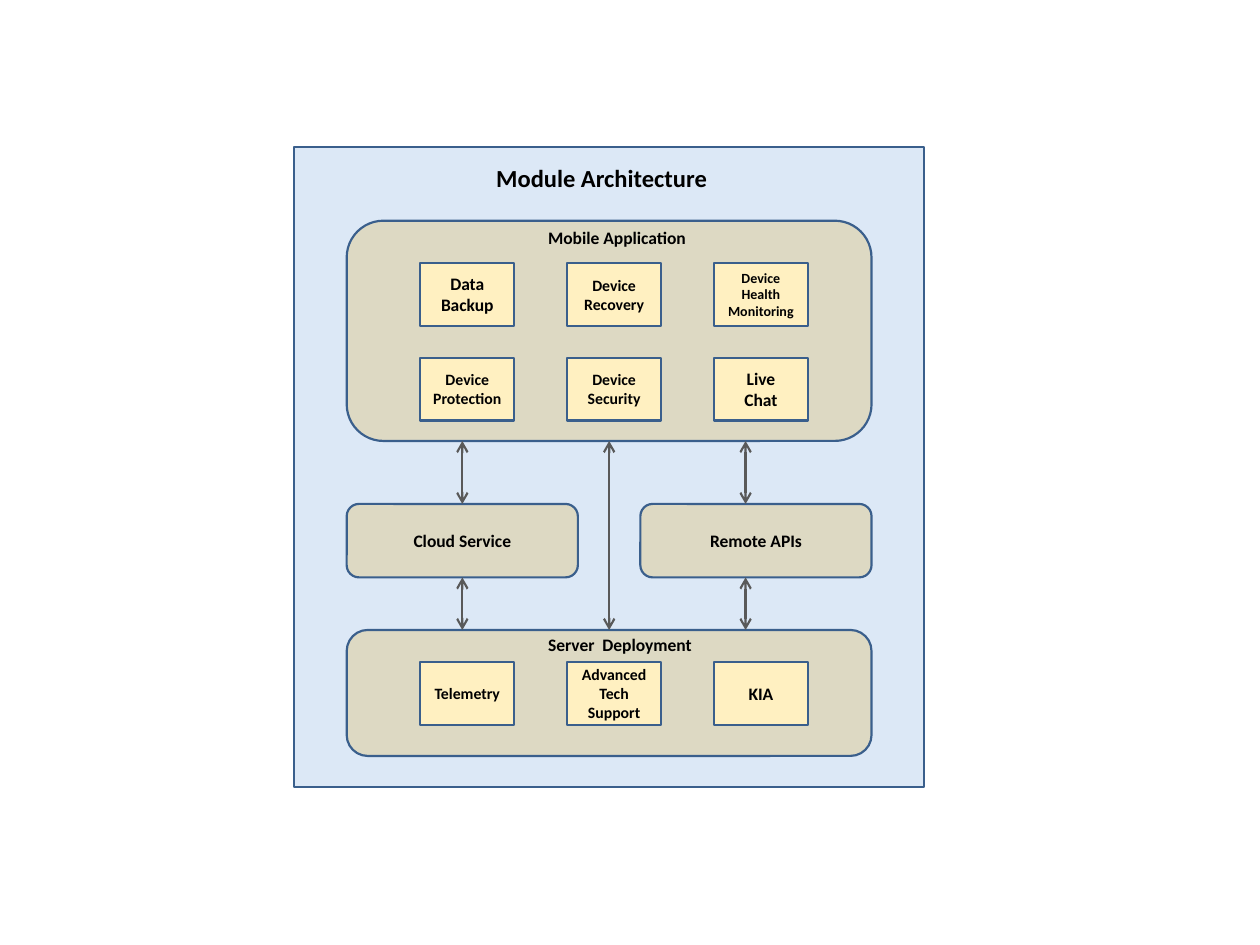
import pptx
import pptx.dml.color
import pptx.enum.shapes
import pptx.enum.text
import pptx.oxml
import pptx.oxml.ns
import pptx.util
from lxml import etree

Cm = pptx.util.Cm
Pt = pptx.util.Pt
RGBColor = pptx.dml.color.RGBColor
Shapes = pptx.enum.shapes.MSO_SHAPE
Align = pptx.enum.text.PP_ALIGN

BACKDROP_BLUE = RGBColor(0x8E, 0xB4, 0xE3)
PANEL_TAN = RGBColor(0xDD, 0xD9, 0xC3)
TILE_CREAM = RGBColor(0xFF, 0xF0, 0xC1)
OUTLINE_BLUE = RGBColor(0x3A, 0x5F, 0x8C)
ARROW_GRAY = RGBColor(0x59, 0x59, 0x59)
TEXT_BLACK = RGBColor(0, 0, 0)

LINE_WIDTH = Pt(1.25)
TILE_WIDTH, TILE_HEIGHT = 1.9, 1.27
TILE_LEFT, TILE_STEP_X, TILE_STEP_Y = 1.48, 2.96, 1.91

MOBILE_TILES = [
    [("Data Backup", 10), ("Device Recovery", 9), ("Device Health Monitoring", 8)],
    [("Device Protection", 9), ("Device Security", 9), ("Live\nChat", 10)],
]
SERVER_TILES = [[("Telemetry", 9), ("Advanced Tech Support", 9), ("KIA", 10)]]


def write_text(shape, text, size, alignment=Align.CENTER):
    """Set bold black text on a shape."""
    shape.text_frame.text = text
    for paragraph in shape.text_frame.paragraphs:
        paragraph.alignment = alignment
        for run in paragraph.runs:
            run.font.name = "Calibri"
            run.font.size = Pt(size)
            run.font.bold = True
            run.font.color.rgb = TEXT_BLACK


def add_block(slide, kind, box, color, text="", size=10):
    """Add an outlined shape with optional centred text."""
    shape = slide.shapes.add_shape(kind, *map(Cm, box))
    shape.shadow.inherit = False
    shape.fill.solid()
    shape.fill.fore_color.rgb = color
    shape.line.color.rgb = OUTLINE_BLUE
    shape.line.width = LINE_WIDTH
    if text:
        shape.text_frame.word_wrap = True
        shape.text_frame.vertical_anchor = pptx.enum.text.MSO_ANCHOR.MIDDLE
        write_text(shape, text, size)
    return shape


def add_heading(slide, box, text, size, alignment=Align.LEFT):
    """Add an unwrapped heading that fits its text."""
    heading = slide.shapes.add_textbox(*map(Cm, box))
    heading.text_frame.word_wrap = False
    heading.text_frame.auto_size = pptx.enum.text.MSO_AUTO_SIZE.SHAPE_TO_FIT_TEXT
    write_text(heading, text, size, alignment)


def add_backdrop(slide, box):
    """Draw the translucent backdrop and its title."""
    backdrop = add_block(slide, Shapes.RECTANGLE, box, BACKDROP_BLUE)
    color = backdrop.fill._xPr.find(".//" + pptx.oxml.ns.qn("a:srgbClr"))
    etree.SubElement(color, pptx.oxml.ns.qn("a:alpha"), val="30000")
    left, top = box[:2]
    add_heading(slide, (left + 3.8, top + 0.21, 4.8, 0.86),
                "Module Architecture", 14, Align.CENTER)


def add_panel(slide, box, title, title_offset, tiles, tiles_top):
    """Draw a titled panel holding a grid of module tiles."""
    panel = add_block(slide, Shapes.ROUNDED_RECTANGLE, box, PANEL_TAN)
    left, top = box[:2]
    for row, labels in enumerate(tiles):
        for column, (text, size) in enumerate(labels):
            tile = (left + TILE_LEFT + column * TILE_STEP_X,
                    top + tiles_top + row * TILE_STEP_Y, TILE_WIDTH, TILE_HEIGHT)
            add_block(slide, Shapes.RECTANGLE, tile, TILE_CREAM, text, size)
    add_heading(slide, (left + 3.81, top + title_offset, 3.4, 0.69), title, 10)
    return panel


def add_services(slide, box):
    """Draw the two service blocks at the ends of the box."""
    left, top, width, height = box
    block_width = 4.66
    return [
        add_block(slide, Shapes.ROUNDED_RECTANGLE, (x, top, block_width, height),
                  PANEL_TAN, text)
        for x, text in ((left, "Cloud Service"),
                        (left + width - block_width, "Remote APIs"))
    ]


def add_arrow(slide, x, upper, lower, join_upper=False, join_lower=False):
    """Draw a vertical double arrow between two shapes."""
    arrow = slide.shapes.add_connector(
        pptx.enum.shapes.MSO_CONNECTOR.STRAIGHT, x, upper.top + upper.height, x, lower.top)
    if join_upper:
        arrow.begin_connect(upper, 2)
    if join_lower:
        arrow.end_connect(lower, 0)
    arrow.line.color.rgb = ARROW_GRAY
    arrow.line.width = LINE_WIDTH
    line = arrow.line._get_or_add_ln()
    for end in ("a:headEnd", "a:tailEnd"):
        etree.SubElement(line, pptx.oxml.ns.qn(end), type="arrow")
    etree.SubElement(arrow._element.spPr, pptx.oxml.ns.qn("a:effectLst"))


def add_links(slide, mobile, cloud, remote, server):
    """Link the panels directly and through the services."""
    cloud_x = cloud.left + cloud.width // 2
    remote_x = remote.left + Cm(2.12)
    add_arrow(slide, cloud_x, mobile, cloud, join_lower=True)
    add_arrow(slide, remote_x, mobile, remote)
    add_arrow(slide, cloud_x, cloud, server, join_upper=True)
    add_arrow(slide, remote_x, remote, server)
    add_arrow(slide, mobile.left + mobile.width // 2, mobile, server, True, True)


def main():
    """Build the module architecture slide."""
    presentation = pptx.Presentation()
    presentation.slide_width = Cm(25.4)
    presentation.slide_height = Cm(19.05)
    slide = presentation.slides.add_slide(presentation.slide_layouts[6])
    left, width = 6.99, 10.58
    add_backdrop(slide, (5.93, 2.96, 12.7, 12.91))
    mobile = add_panel(slide, (left, 4.45, width, 4.44), "Mobile Application", 0,
                       MOBILE_TILES, 0.85)
    server = add_panel(slide, (left, 12.7, width, 2.54), "Server  Deployment", -0.05,
                       SERVER_TILES, 0.64)
    cloud, remote = add_services(slide, (left, 10.16, width, 1.48))
    add_links(slide, mobile, cloud, remote, server)
    presentation.save("out.pptx")


if __name__ == "__main__":
    main()
